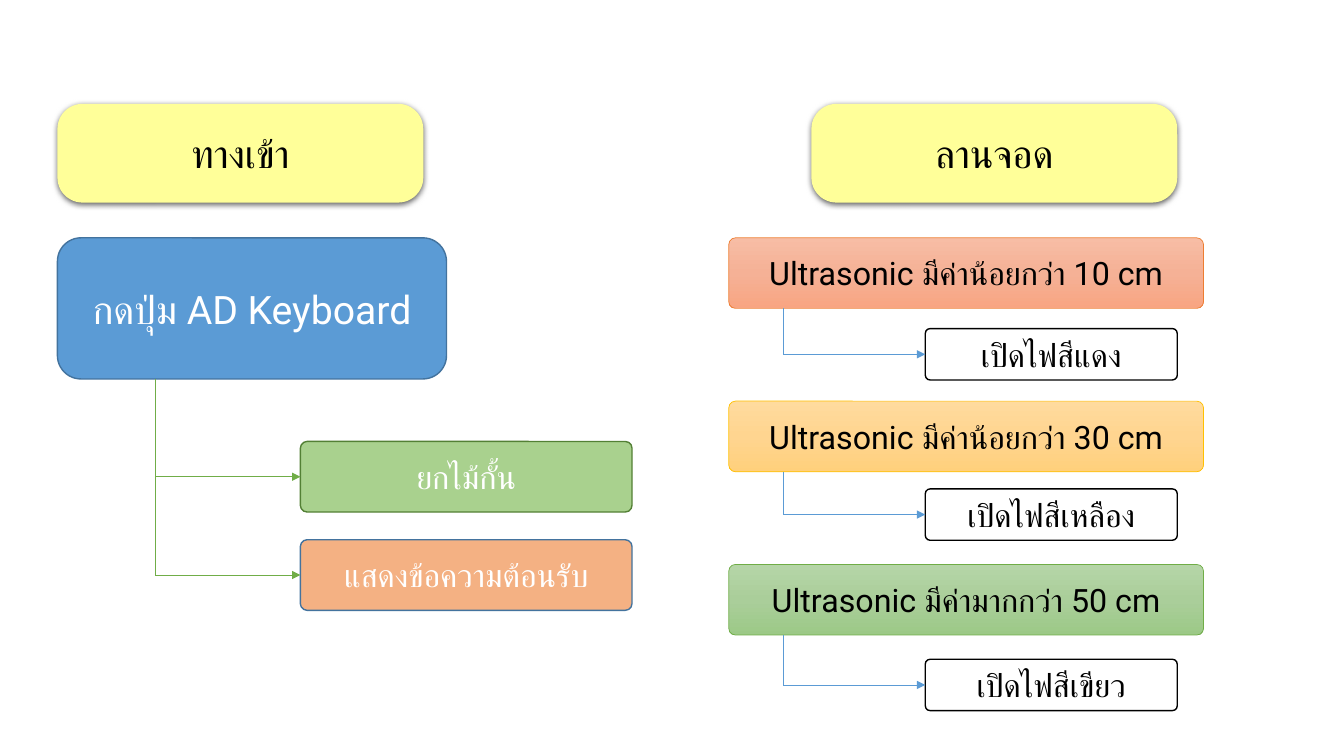
from dataclasses import dataclass

from lxml.etree import SubElement as add_element
from pptx import Presentation
from pptx.dml.color import RGBColor as Color
from pptx.enum.shapes import MSO_CONNECTOR as Connector, MSO_SHAPE as Shape
from pptx.enum.text import MSO_ANCHOR as Anchor, PP_ALIGN as Align
from pptx.oxml.ns import qn
from pptx.util import Pt


@dataclass(frozen=True)
class Theme:
    """Font, type sizes and colours of the flow charts."""
    font: str = "Roboto"
    large: int = 28
    small: int = 23
    thin: float = 0.5
    border: float = 1
    white: str = "FFFFFF"
    black: str = "000000"
    header: str = "FFFF99"
    blue: str = "5B9BD5"
    dark_blue: str = "43739E"
    green: str = "70AD47"
    dark_green: str = "538035"
    light_green: str = "A9D18E"
    peach: str = "F4B183"
    orange: str = "ED7D31"
    gold: str = "FFC000"
    red_blend: tuple = ("F7BDA5", "F5B196", "F8A582")
    yellow_blend: tuple = ("FFDB9E", "FFD590", "FFD07C")
    green_blend: tuple = ("B5D5A7", "AACE9A", "9CC987")


def assign(target, values):
    """Set each named attribute of the target."""
    for name, value in values.items():
        setattr(target, name, value)


def add_tag(parent, tag, **attributes):
    """Append a drawing element with string attributes."""
    return add_element(parent, qn(tag), {name: str(value) for name, value in attributes.items()})


class FlowSlide:
    """Draw boxes and arrows in one style on one slide."""

    def __init__(self, presentation, theme):
        """Add a blank slide to the presentation."""
        self.theme = theme
        self.slide = presentation.slides.add_slide(presentation.slide_layouts[6])

    def box(self, text, place, fill, color, size, line=None, width=1, corner=0.095):
        """Add a rounded box with centred text; a tuple fill is a gradient."""
        shape = self.slide.shapes.add_shape(Shape.ROUNDED_RECTANGLE, *map(Pt, place))
        shape.adjustments[0] = corner
        shape.shadow.inherit = False
        if isinstance(fill, tuple):
            self.blend(shape, fill)
        else:
            shape.fill.solid()
            shape.fill.fore_color.rgb = Color.from_string(fill)
        if line:
            shape.line.color.rgb = Color.from_string(line)
            shape.line.width = Pt(width)
        else:
            shape.line.fill.background()
        assign(shape.text_frame, {"word_wrap": True, "vertical_anchor": Anchor.MIDDLE})
        paragraph = shape.text_frame.paragraphs[0]
        paragraph.alignment = Align.CENTER
        run = paragraph.add_run()
        run.text = text
        assign(run.font, {"name": self.theme.font, "size": Pt(size)})
        run.font.color.rgb = Color.from_string(color)
        add_tag(run.font._element, "a:cs", typeface=self.theme.font)
        return shape

    def blend(self, shape, colors):
        """Fill a shape with evenly spaced colours from top to bottom."""
        shape.fill.gradient()
        gradient = shape._element.spPr.find(qn("a:gradFill"))
        for child in list(gradient):
            gradient.remove(child)
        stops = add_tag(gradient, "a:gsLst")
        for index, color in enumerate(colors):
            stop = add_tag(stops, "a:gs", pos=index * 100000 // (len(colors) - 1))
            add_tag(stop, "a:srgbClr", val=color)
        add_tag(gradient, "a:lin", ang=5400000, scaled=0)

    def header(self, text, left):
        """Add a yellow heading box with a soft shadow."""
        shape = self.box(text, (left, 74.16, 261.36, 70.56), self.theme.header,
                         self.theme.black, self.theme.large, corner=0.254)
        effects = shape._element.spPr.find(qn("a:effectLst"))
        shadow = add_tag(effects, "a:outerShdw", blurRad=Pt(4.5), dist=Pt(1.5),
                         dir=5400000, algn="ctr", rotWithShape=0)
        shade = add_tag(shadow, "a:srgbClr", val=self.theme.black)
        add_tag(shade, "a:alpha", val=63000)

    def line(self, start, end, color, arrow=False):
        """Add a thin straight line, with an arrowhead if asked."""
        connector = self.slide.shapes.add_connector(
            Connector.STRAIGHT, *map(Pt, (*start, *end)))
        connector.line.color.rgb = Color.from_string(color)
        connector.line.width = Pt(self.theme.thin)
        if arrow:
            add_tag(connector.line._get_or_add_ln(), "a:tailEnd", type="triangle")
        add_tag(connector._element.spPr, "a:effectLst")

    def branch(self, x, top, bottom, right, color):
        """Lead down from a box and then right to the next one."""
        self.line((x, top), (x, bottom), color)
        self.line((x, bottom), (right, bottom), color, arrow=True)


def draw_entrance(flow):
    """Draw the entrance flow on the left."""
    theme = flow.theme
    flow.header("ทางเข้า", 41.04)
    flow.box("กดปุ่ม AD Keyboard", (41.04, 169.92, 277.92, 100.8), theme.blue,
             theme.white, theme.large, theme.dark_blue, corner=0.16667)
    actions = (("ยกไม้กั้น", theme.light_green, theme.dark_green),
               ("แสดงข้อความต้อนรับ", theme.peach, theme.dark_blue))
    left, height, start = 214.56, 50.4, 270.72
    for index, (text, fill, border) in enumerate(actions):
        top = 315.36 + index * 70.2
        middle = top + height / 2
        flow.box(text, (left, top, 236.88, height), fill, theme.white, theme.small, border)
        flow.branch(110.88, start, middle, left, theme.green)
        start = middle


def draw_parking(flow):
    """Draw the parking flow on the right."""
    theme = flow.theme
    flow.header("ลานจอด", 579.6)
    sensors = (
        ("Ultrasonic มีค่าน้อยกว่า 10 cm", theme.red_blend, theme.orange, "เปิดไฟสีแดง", 234.72),
        ("Ultrasonic มีค่าน้อยกว่า 30 cm", theme.yellow_blend, theme.gold, "เปิดไฟสีเหลือง", 349.2),
        ("Ultrasonic มีค่ามากกว่า 50 cm", theme.green_blend, theme.green, "เปิดไฟสีเขียว", 470.88),
    )
    left, height, light_height = 660.96, 50.4, 36.72
    for index, (reading, fill, border, light, light_top) in enumerate(sensors):
        top = 169.92 + index * 116.64
        flow.box(reading, (520.56, top, 339.12, height), fill, theme.black,
                 theme.small, border, theme.thin)
        flow.box(light, (left, light_top, 180, light_height), theme.white,
                 theme.black, theme.small, theme.black, theme.border)
        flow.branch(559.44, top + height, light_top + light_height / 2, left, theme.blue)


def main():
    """Build and save the presentation."""
    presentation = Presentation()
    assign(presentation, {"slide_width": Pt(960), "slide_height": Pt(540)})
    flow = FlowSlide(presentation, Theme())
    draw_entrance(flow)
    draw_parking(flow)
    presentation.save("out.pptx")


if __name__ == "__main__":
    main()
